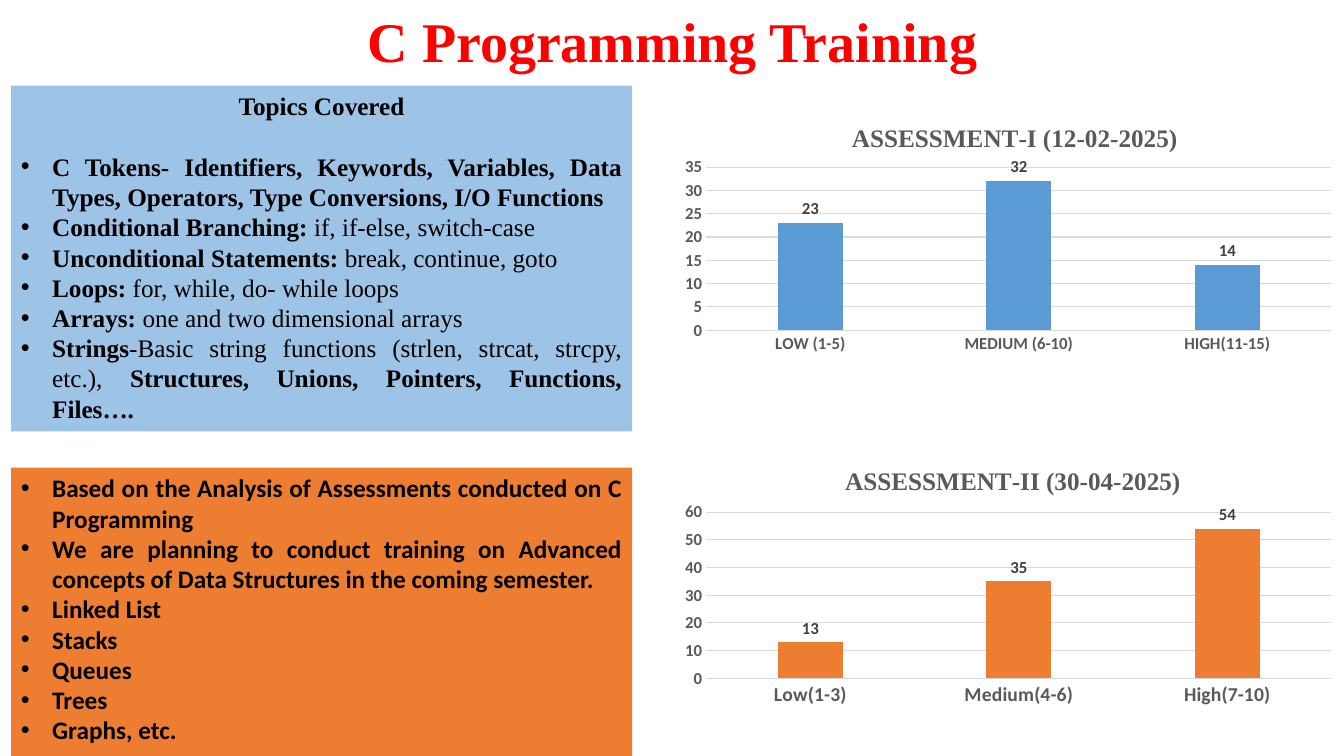
import pptx
import pptx.chart.data
import pptx.dml.color
import pptx.enum.chart
import pptx.enum.shapes
import pptx.enum.text
import pptx.oxml
import pptx.oxml.ns
import pptx.util
from pptx.util import Inches

HUES = {"red": "FF0000", "black": "000000", "sky": "9DC3E6",
        "blue": "5B9BD5", "orange": "ED7D31", "gray": "595959",
        "dark": "404040", "grid": "D9D9D9"}
SERIF, SANS = "Times New Roman", "Calibri"
ALIGN = pptx.enum.text.PP_ALIGN
ANCHOR = pptx.enum.text.MSO_ANCHOR


def hue(name):
    return pptx.dml.color.RGBColor.from_string(HUES[name])


def style(font, size=18, face=SERIF, color="black", bold=True):
    font.size = pptx.util.Pt(size)
    font.name = face
    font.bold = bold
    font.color.rgb = hue(color)


def text(para, words, **form):
    run = para.add_run()
    run.text = words
    style(run.font, **form)


def fill(part, color):
    part.fill.solid()
    part.fill.fore_color.rgb = hue(color)


def bullet(para):
    props = para._p.get_or_add_pPr()
    props.set("marL", str(Inches(0.31)))
    props.set("indent", str(-Inches(0.31)))
    for tag, key, value in (("buFont", "typeface", "Arial"), ("buChar", "char", "•")):
        item = pptx.oxml.parse_xml(
            f'<a:{tag} {pptx.oxml.ns.nsdecls("a")} {key}="{value}"/>')
        props.append(item)


def layout(parent, spot, **sizes):
    """Place a chart part by fractions of the chart's size."""
    old = parent.find(pptx.oxml.ns.qn("c:layout"))
    if old is not None:
        parent.remove(old)
    inner = '<c:layoutTarget val="inner"/>' if "w" in sizes else ""
    modes = "".join(f'<c:{k}Mode val="edge"/>' for k in "xy")
    rest = "".join(f'<c:{k} val="{v}"/>' for k, v in sizes.items())
    parent.insert(spot, pptx.oxml.parse_xml(
        f'<c:layout {pptx.oxml.ns.nsdecls("c")}><c:manualLayout>'
        f'{inner}{modes}{rest}</c:manualLayout></c:layout>'))


class Deck:
    def __init__(self):
        self.show = pptx.Presentation()
        self.show.slide_width = Inches(13.33)
        self.show.slide_height = Inches(7.5)
        self.slide = self.show.slides.add_slide(self.show.slide_layouts[5])

    def title(self, words, left, top, width, height):
        box = self.slide.shapes.title
        box.left, box.top = Inches(left), Inches(top)
        box.width, box.height = Inches(width), Inches(height)
        frame = box.text_frame
        frame.vertical_anchor = ANCHOR.BOTTOM
        para = frame.paragraphs[0]
        para.alignment = ALIGN.CENTER
        para.line_spacing = 0.9
        text(para, words, size=40, color="red")

    def panel(self, top, height, color, items, face, head=None):
        box = self.slide.shapes.add_shape(
            pptx.enum.shapes.MSO_SHAPE.RECTANGLE,
            Inches(0.11), Inches(top), Inches(6.16), Inches(height))
        box.shadow.inherit = False
        fill(box, color)
        box.line.fill.background()
        frame = box.text_frame
        frame.word_wrap = True
        frame.vertical_anchor = ANCHOR.TOP
        rows = ([[(head, True)]] if head else []) + items
        for i, row in enumerate(rows):
            para = frame.add_paragraph() if i else frame.paragraphs[0]
            para.line_spacing = pptx.util.Pt(21.6)
            if head and i == 0:
                para.alignment = ALIGN.CENTER
                para.space_after = pptx.util.Pt(21.6)
            else:
                para.alignment = ALIGN.JUSTIFY
                bullet(para)
            for words, bold in row:
                text(para, words, face=face, bold=bold)

    def chart(self, top, height, name, cats, vals, color, peak, step, size, left, plot):
        data = pptx.chart.data.CategoryChartData()
        data.categories = cats
        data.add_series("Series 1", vals)
        chart = self.slide.shapes.add_chart(
            pptx.enum.chart.XL_CHART_TYPE.COLUMN_CLUSTERED,
            Inches(6.67), Inches(top), Inches(6.67), Inches(height), data).chart
        style(chart.font, size=10, face=SANS)
        chart.has_legend = False
        # Heading
        chart.has_title = True
        head = chart.chart_title
        text(head.text_frame.paragraphs[0], name, color="gray")
        head.include_in_layout = False
        layout(head._element, 1, x=left, y=0.07)
        layout(chart._chartSpace.chart.plotArea, 0, **plot)
        # Axes
        for axis, points in ((chart.category_axis, size), (chart.value_axis, 12)):
            style(axis.tick_labels.font, size=points, face=SANS, color="gray")
            axis.major_tick_mark = pptx.enum.chart.XL_TICK_MARK.NONE
            axis.minor_tick_mark = pptx.enum.chart.XL_TICK_MARK.NONE
        axis = chart.value_axis
        axis.minimum_scale, axis.maximum_scale, axis.major_unit = 0, peak, step
        axis.format.line.fill.background()
        axis.has_major_gridlines = True
        for line in (axis.major_gridlines.format.line, chart.category_axis.format.line):
            line.color.rgb = hue("grid")
            line.width = pptx.util.Pt(0.75)
        # Columns
        bars = chart.plots[0]
        bars.gap_width, bars.overlap = 219, -27
        bars.vary_by_categories = False
        fill(bars.series[0].format, color)
        bars.has_data_labels = True
        tags = bars.data_labels
        tags.show_value = True
        tags.position = pptx.enum.chart.XL_LABEL_POSITION.OUTSIDE_END
        style(tags.font, size=12, face=SANS, color="dark")


def main():
    deck = Deck()
    deck.title("C Programming Training", 1.67, 0.17, 10, 0.62)

    # Test results
    deck.chart(4.39, 2.66, "ASSESSMENT-II (30-04-2025)",
               ["Low(1-3)", "Medium(4-6)", "High(7-10)"], [13, 35, 54],
               "orange", 60, 10, 14, 0.25, dict(x=0.05, y=0.26, w=0.93, h=0.62))
    deck.chart(0.99, 2.57, "ASSESSMENT-I (12-02-2025)",
               ["LOW (1-5)", "MEDIUM (6-10)", "HIGH(11-15)"], [23, 32, 14],
               "blue", 35, 5, 12, 0.26, dict(x=0.05, y=0.26, w=0.93, h=0.63))

    # Topics
    deck.panel(0.85, 3.43, "sky", [
        [("C Tokens- Identifiers, Keywords, Variables, Data Types, Operators, "
          "Type Conversions, I/O Functions", True)],
        [("Conditional Branching: ", True), ("if, if-else, switch-case", False)],
        [("Unconditional Statements: ", True), ("break, continue, goto", False)],
        [("Loops: ", True), ("for, while, do- while loops", False)],
        [("Arrays: ", True), ("one and two dimensional arrays", False)],
        [("Strings", True),
         ("-Basic string functions (strlen, strcat, strcpy, etc.), ", False),
         ("Structures, Unions, Pointers, Functions, Files….", True)],
    ], SERIF, head="Topics Covered")

    # Plans
    plans = ["Based on the Analysis of Assessments conducted on C Programming",
             "We are planning to conduct training on Advanced concepts of "
             "Data Structures in the coming semester.",
             "Linked List", "Stacks", "Queues", "Trees", "Graphs, etc."]
    deck.panel(4.64, 3.13, "orange", [[(plan, True)] for plan in plans], SANS)

    deck.show.save("out.pptx")


if __name__ == "__main__":
    main()
